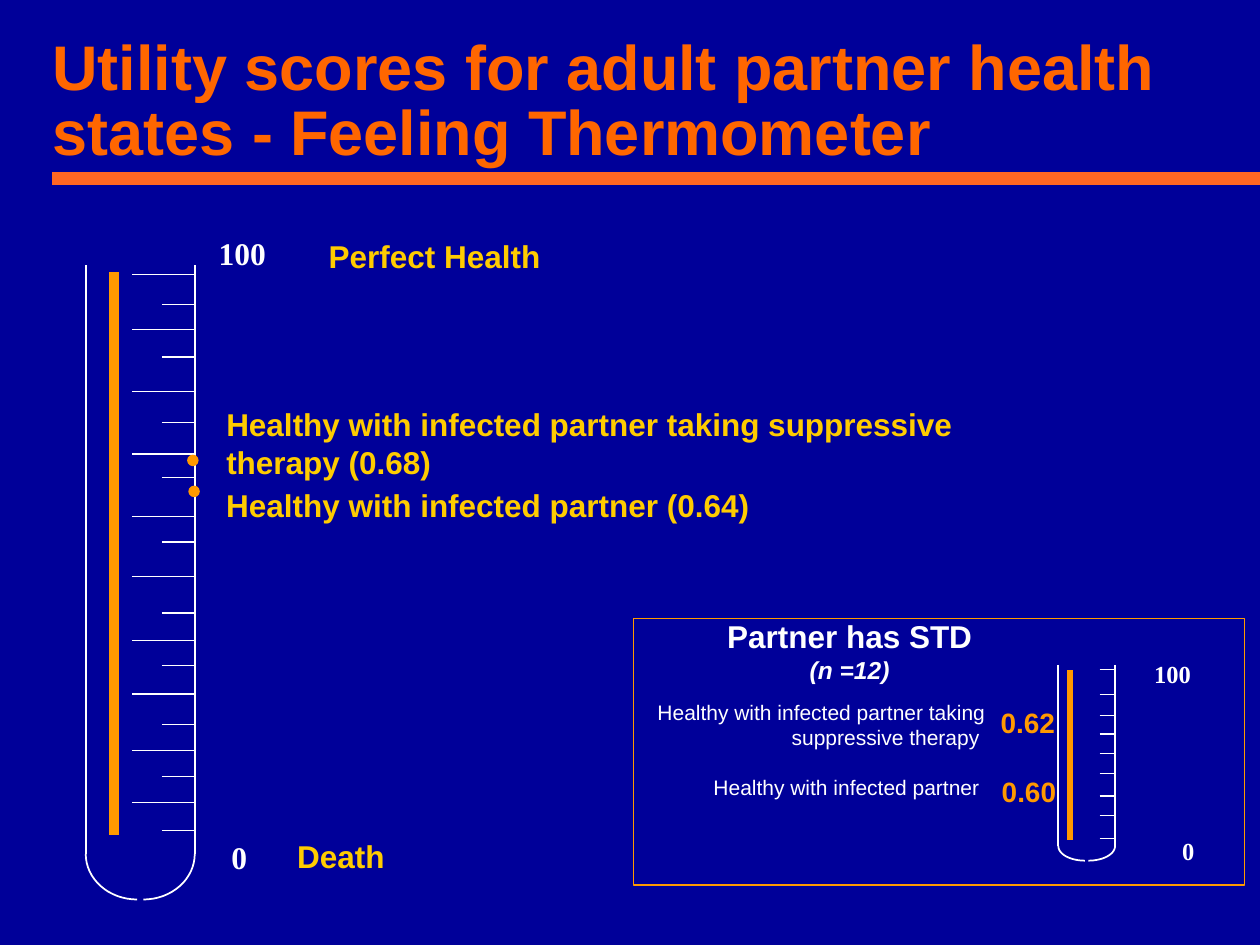
from dataclasses import dataclass
from math import cos, pi, sin

from lxml.etree import SubElement
from pptx import Presentation
from pptx.dml.color import RGBColor as RGB
from pptx.enum.shapes import MSO_CONNECTOR as CONN, MSO_SHAPE as SHAPE
from pptx.enum.text import MSO_ANCHOR as ANCHOR, MSO_AUTO_SIZE as FIT, PP_ALIGN as ALIGN
from pptx.oxml.ns import qn
from pptx.util import Pt


@dataclass(frozen=True)
class Theme:
    background: RGB = RGB(0x00, 0x00, 0x99)
    title: RGB = RGB(0xFF, 0x66, 0x00)
    rule: RGB = RGB(0xFF, 0x66, 0x23)
    label: RGB = RGB(0xFF, 0xCC, 0x00)
    accent: RGB = RGB(0xFF, 0x99, 0x00)
    white: RGB = RGB(0xFF, 0xFF, 0xFF)
    sans: str = "Arial"
    serif: str = "Times New Roman"
    title_size: int = 36
    label_size: int = 18
    score_size: int = 16
    note_size: int = 14
    small_size: int = 12


T = Theme()
prs = Presentation()
prs.slide_width, prs.slide_height = Pt(720), Pt(540)
s = prs.slides.add_slide(prs.slide_layouts[5])
s.background.fill.solid()
s.background.fill.fore_color.rgb = T.background


def add_text(text, x, y, w, h, size=T.label_size, color=T.label, font=T.sans,
             bold=True, align=ALIGN.LEFT, wrap=True):
    """Add a text box with one paragraph per line of text; return its text frame."""
    tf = s.shapes.add_textbox(Pt(x), Pt(y), Pt(w), Pt(h)).text_frame
    tf.word_wrap = wrap
    tf.auto_size = FIT.SHAPE_TO_FIT_TEXT
    tf.text = text
    for p in tf.paragraphs:
        p.alignment = align
        p.font.name, p.font.size, p.font.bold = font, Pt(size), bold
        p.font.color.rgb = color
    return tf


def add_line(x1, y1, x2, y2, color=T.white, width=0.75):
    c = s.shapes.add_connector(CONN.STRAIGHT, Pt(x1), Pt(y1), Pt(x2), Pt(y2))
    c.line.color.rgb, c.line.width = color, Pt(width)
    SubElement(c._element.spPr, qn("a:effectLst"))


# Title and rule
add_line(30, 102, 720, 102, T.rule, 7)
title = s.shapes.title
title.left, title.top, title.width, title.height = Pt(30), Pt(29), Pt(642), Pt(67)
tf = title.text_frame
tf.margin_left = tf.margin_top = tf.margin_right = tf.margin_bottom = 0
tf.vertical_anchor = ANCHOR.BOTTOM
tf.word_wrap = True
tf.text = "Utility scores for adult partner health states - Feeling Thermometer"
p = tf.paragraphs[0]
p.alignment, p.line_spacing = ALIGN.LEFT, 0.85
p.font.name, p.font.size, p.font.bold = T.sans, Pt(T.title_size), True
p.font.color.rgb = T.title

# Frame of the inset
frame = s.shapes.add_shape(SHAPE.RECTANGLE, Pt(362), Pt(353.3), Pt(349.3), Pt(152.5))
frame.shadow.inherit = False
frame.fill.background()
frame.line.color.rgb, frame.line.width = T.accent, Pt(0.75)

# Glass tubes: left, right, top, bottom, bulb depth, gap between bulb halves
for left, right, top, bottom, depth, gap in [
    (49, 111.3, 151.5, 488, 26, 3.6),
    (604.8, 637.2, 380, 483.5, 8.3, 2),
]:
    radius = (right - left - gap) / 2
    for wall, inward in [(left, 1), (right, -1)]:
        add_line(wall, top, wall, bottom, width=1)
        curve = [(Pt(wall + inward * radius * (1 - cos(a))), Pt(bottom + depth * sin(a)))
                 for a in (pi / 2 * i / 16 for i in range(17))]
        builder = s.shapes.build_freeform(*curve[0])
        builder.add_line_segments(curve[1:], close=False)
        bulb = builder.convert_to_shape()
        bulb.shadow.inherit = False
        bulb.fill.background()
        bulb.line.color.rgb, bulb.line.width = T.white, Pt(1)

# Mercury columns
add_line(65.2, 477, 65.2, 155.5, T.accent, 6)
add_line(611.4, 480, 611.4, 383, T.accent, 3)

# Scale ticks: start, end, heights
for start, end, heights in [
    (75.7, 110.7, [157, 188.2, 223.6, 259.5, 295.2, 329.5, 366.2, 396.6, 428.7, 458.6]),
    (92.5, 110.7, [174, 204, 241.5, 272.9, 309.7, 350.3, 380.2, 414, 443.8, 474.6]),
    (628.4, 636.5, [382.7, 396.8, 409, 419.5, 430.6, 442, 454.8, 465.9, 479]),
]:
    for y in heights:
        add_line(start, y, end, y)

# Main thermometer labels
add_text("Perfect Health", 180.7, 131.8, 192, 29)
add_text("Death", 162.7, 475, 168, 29)
add_text("Healthy with infected partner taking suppressive therapy (0.68)",
         122.2, 227.8, 464, 50.5)
add_text("Healthy with infected partner (0.64)", 122.2, 274, 330, 29)

# Score markers
for x, y in [(107.3, 260.2), (108, 277.9)]:
    dot = s.shapes.add_shape(SHAPE.OVAL, Pt(x), Pt(y), Pt(5.8), Pt(5.8))
    dot.shadow.inherit = False
    dot.fill.solid()
    dot.fill.fore_color.rgb = dot.line.color.rgb = T.accent
    dot.line.width = Pt(0.75)

# Scale ends
for text, x, y, w, h, size in [
    ("100", 114.5, 130.3, 48, 29, T.label_size),
    ("0", 121.8, 475.2, 30, 29, T.label_size),
    ("100", 648, 373.3, 44, 24.5, T.note_size),
    ("0", 664, 474.2, 30, 24.5, T.note_size),
]:
    add_text(text, x, y, w, h, size, T.white, T.serif, align=ALIGN.CENTER, wrap=False)

# Inset text
heading = add_text("Partner has STD \n(n =12)", 406, 349.2, 159, 46,
                   color=T.white, align=ALIGN.CENTER, wrap=False)
count = heading.paragraphs[1].font
count.size, count.italic = Pt(T.note_size), True

states = add_text("Healthy with infected partner taking suppressive therapy \n"
                  "Healthy with infected partner ", 326.2, 396, 244, 65,
                  T.small_size, T.white, bold=False, align=ALIGN.RIGHT)
states.paragraphs[1].space_before = Pt(14)

for score, x, y in [("0.62", 564.5, 399.6), ("0.60", 565.2, 439.2)]:
    add_text(score, x, y, 45.4, 26.6, T.score_size, T.accent,
             align=ALIGN.RIGHT, wrap=False)

prs.save("out.pptx")
